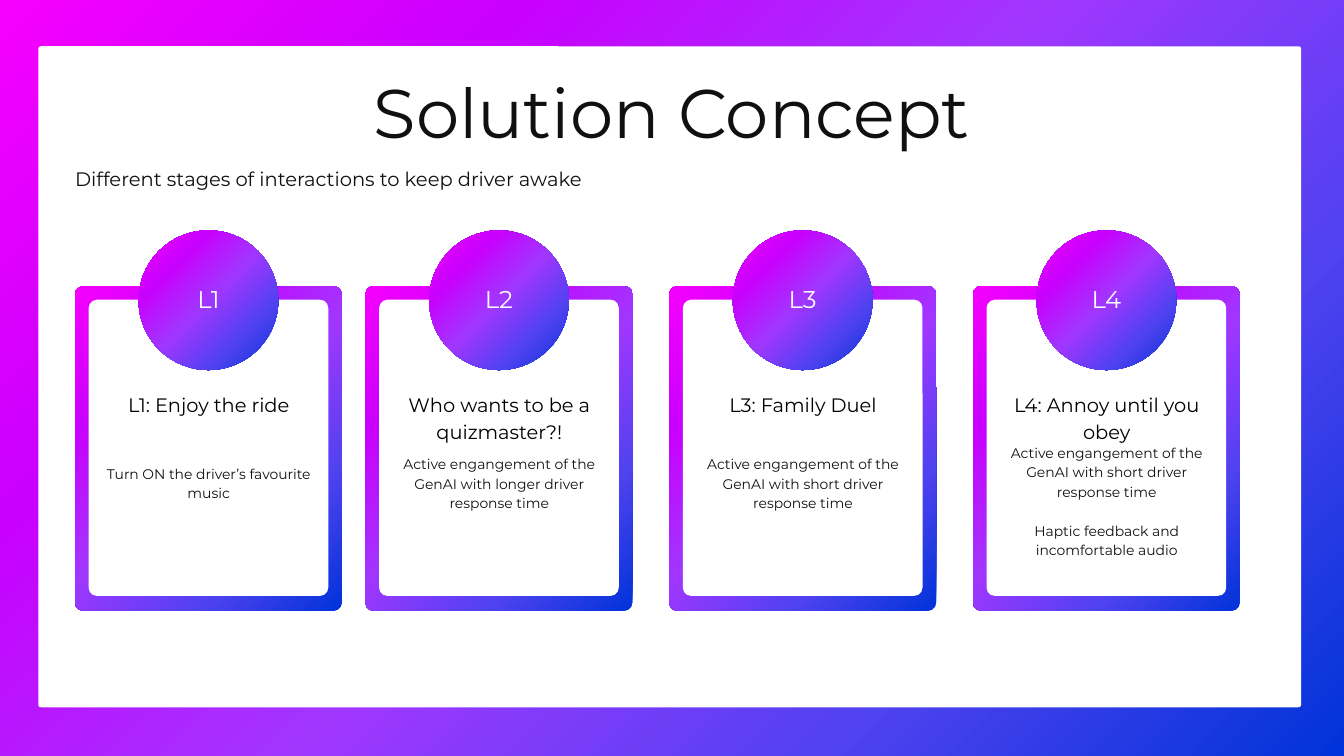
import pptx
import pptx.util
import pptx.oxml
import pptx.oxml.ns
import pptx.dml.color
import pptx.enum.shapes
import pptx.enum.text

Cm, Pt = pptx.util.Cm, pptx.util.Pt
RGB = pptx.dml.color.RGBColor.from_string
KIND = pptx.enum.shapes.MSO_SHAPE
ALIGN = pptx.enum.text.PP_ALIGN
ANCHOR = pptx.enum.text.MSO_ANCHOR

hues = {"white": "FFFFFF", "ink": "101010", "black": "000000"}
stops = {0: "F600FE", 25: "C900FE", 50: "A136FF", 75: "5142F0", 100: "0033D9"}
# Style: size, line height, colour, alignment
looks = {
    "title": (73.7, 88.4, "ink", ALIGN.CENTER),
    "lead": (20.9, 29.3, "ink", ALIGN.LEFT),
    "badge": (26, 36.4, "white", ALIGN.CENTER),
    "head": (20.8, 29.1, "black", ALIGN.CENTER),
    "note": (14.9, 20.9, "ink", ALIGN.CENTER),
}


def paint(item, fill, hue=None):
    """Fill with a plain hue, or with the radial gradient when none is given."""
    fill.solid()
    fill.fore_color.rgb = RGB(hues[hue or "white"])
    if hue:
        return
    marks = "".join(f'<a:gs pos="{pos * 1000}"><a:srgbClr val="{rgb}"/></a:gs>'
                    for pos, rgb in stops.items())
    grad = pptx.oxml.parse_xml(
        f'<a:gradFill {pptx.oxml.ns.nsdecls("a")} rotWithShape="1"><a:gsLst>{marks}</a:gsLst>'
        '<a:path path="circle"><a:fillToRect l="0" t="0" r="100000" b="100000"/></a:path>'
        '</a:gradFill>')
    old = item._element.find(".//" + pptx.oxml.ns.qn("a:solidFill"))
    old.getparent().replace(old, grad)


def write(shape, look, *texts):
    """Put one paragraph per text, a line apart, in the given style."""
    size, line, hue, align = looks[look]
    frame = shape.text_frame
    form = {"word_wrap": True, "margin_left": 0, "margin_right": 0, "margin_top": 0,
            "margin_bottom": Cm(0.3) if look == "badge" else 0,
            "auto_size": pptx.enum.text.MSO_AUTO_SIZE.NONE,
            "vertical_anchor": ANCHOR.MIDDLE if look == "badge" else ANCHOR.TOP}
    for key, val in form.items():
        setattr(frame, key, val)
    for num, text in enumerate(texts):
        para = frame.add_paragraph() if num else frame.paragraphs[0]
        para.text = text
        form = {"alignment": align, "line_spacing": Pt(line),
                "space_before": Pt(line if num else 0)}
        for key, val in form.items():
            setattr(para, key, val)
        for key, val in {"name": "Montserrat", "size": Pt(size), "bold": False}.items():
            setattr(para.font, key, val)
        para.font.color.rgb = RGB(hues[hue])


deck = pptx.Presentation()
deck.slide_width, deck.slide_height = Cm(50.8), Cm(28.58)
slide = deck.slides.add_slide(deck.slide_layouts[5])
shapes = slide.shapes

# Background
paint(slide, slide.background.fill)

# Cards: left, badge, heading, top of note, lines in note, note
cards = [
    (2.84, "L1", "L1: Enjoy the ride", 17.48, 2,
     ["Turn ON the driver’s favourite music"]),
    (13.82, "L2", "Who wants to be a quizmaster?!", 17.12, 3,
     ["Active engangement of the GenAI with longer driver response time"]),
    (25.3, "L3", "L3: Family Duel", 17.12, 3,
     ["Active engangement of the GenAI with short driver response time"]),
    (36.78, "L4", "L4: Annoy until you obey", 16.69, 7,
     ["Active engangement of the GenAI with short driver response time",
      "Haptic feedback and incomfortable audio"]),
]

# Panel, then frame, sheet and badge of each card
ROUND, OVAL = KIND.ROUNDED_RECTANGLE, KIND.OVAL
parts = [(ROUND, 1.45, 1.75, 47.73, 24.99, 0.004, "white", None)]
for left, badge, *_ in cards:
    parts += [(ROUND, left, 10.82, 10.08, 12.27, 0.03, None, None),
              (ROUND, left + 0.51, 11.33, 9.06, 11.2, 0.035, "white", None),
              (OVAL, left + 2.4, 8.71, 5.28, 5.28, None, None, badge)]
for kind, left, top, wide, high, bend, hue, text in parts:
    shape = shapes.add_shape(kind, Cm(left), Cm(top), Cm(wide), Cm(high))
    shape.shadow.inherit = False
    shape.line.fill.background()
    paint(shape, shape.fill, hue)
    if bend:
        shape.adjustments[0] = bend
    if text:
        write(shape, "badge", text)

# Card texts
for left, badge, head, top, lines, notes in cards:
    box = shapes.add_textbox(Cm(left + 1.05), Cm(14.71), Cm(8), Cm(1.98))
    write(box, "head", head)
    box = shapes.add_textbox(Cm(left + 1.05), Cm(top), Cm(8), Cm(0.73 * lines))
    write(box, "note", *notes)

# Title, brought in front of the panel
title = shapes.title
place = {"left": 9.5, "top": 2.64, "width": 31.78, "height": 3.1}
for key, val in place.items():
    setattr(title, key, Cm(val))
write(title, "title", "Solution Concept")
shapes._spTree.append(title._element)

# Lead line
lead = shapes.add_textbox(Cm(2.84), Cm(6.17), Cm(19.33), Cm(2))
write(lead, "lead", "Different stages of interactions to keep driver awake")

deck.save("out.pptx")
